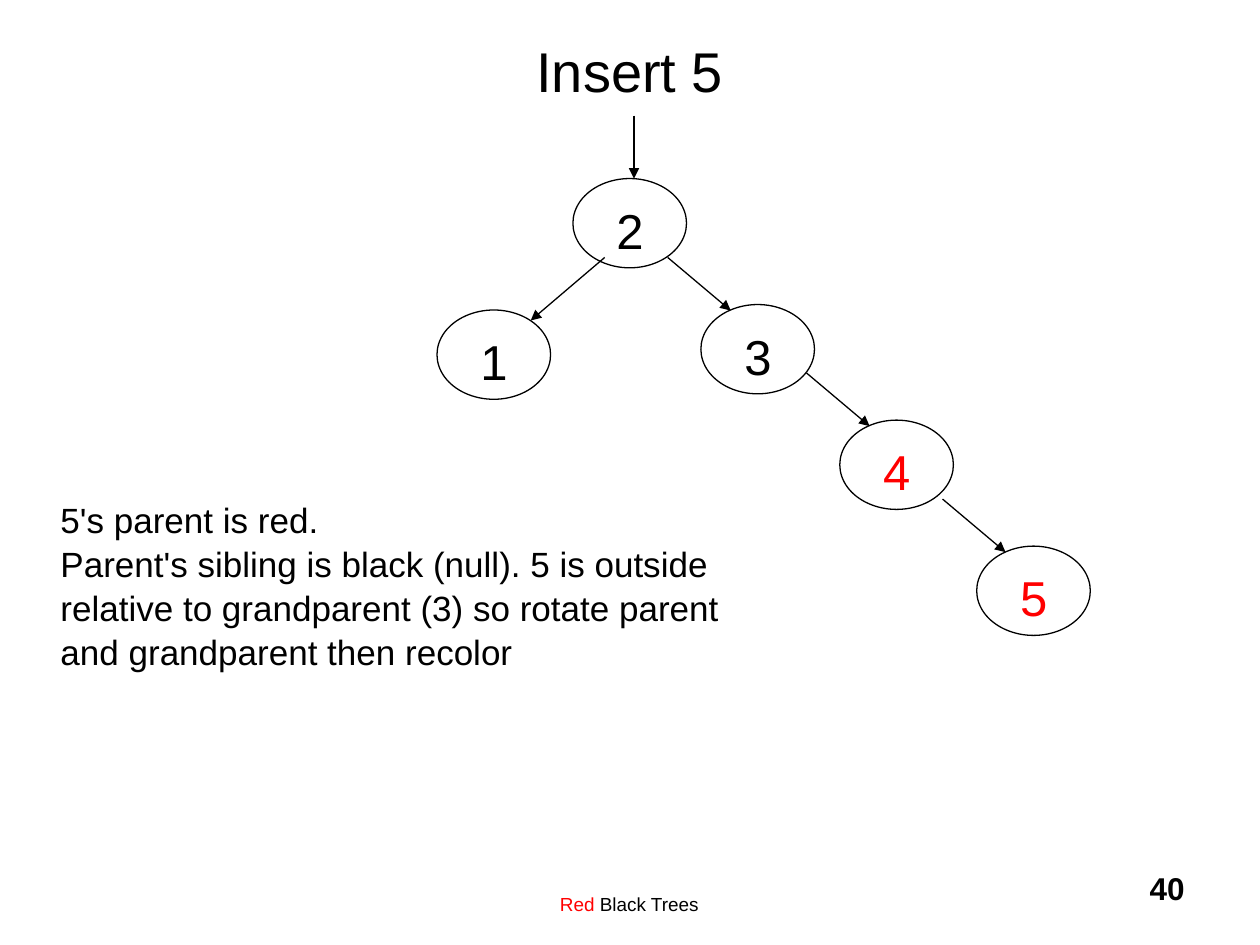
"""Build the slide that shows 5 being inserted in a red black tree."""
import pptx
import pptx.util
import pptx.dml.color
import pptx.enum.shapes
import pptx.enum.text
import pptx.oxml.ns
import lxml.etree

Cm, Pt = pptx.util.Cm, pptx.util.Pt
Align = pptx.enum.text.PP_ALIGN
Anchor = pptx.enum.text.MSO_ANCHOR
HUES = {"black": "000000", "red": "FF0000"}
FONT = "Arial"

TITLE = "Insert 5"
NOTE = [
    "5's parent is red.",
    "Parent's sibling is black (null). 5 is outside relative to "
    "grandparent (3) so rotate parent and grandparent then recolor",
]
FOOTER = [("Red", "red"), (" Black Trees", "black")]
PAGE = "40"
NODES = [
    ("2", "black", 11.55, 3.6),
    ("1", "black", 8.81, 6.25),
    ("3", "black", 14.13, 6.14),
    ("4", "red", 16.93, 8.47),
    ("5", "red", 19.69, 11.01),
]
NODE_W, NODE_H = 2.29, 1.8
LABEL_W, LABEL_H = 1.04, 1.45
RIGHT = (1.27, 1.07)
EDGES = [
    ((12.78, 2.33), (0, 1.27)),
    ((13.46, 5.19), RIGHT),
    ((12.19, 5.19), (-1.49, 1.27)),
    ((16.26, 7.52), RIGHT),
    ((19.0, 10.06), RIGHT),
]


def tint(name):
    return pptx.dml.color.RGBColor.from_string(HUES[name])


def write(shapes, lines, box, size, align=Align.LEFT, anchor=Anchor.TOP,
          bold=False, wrap=True):
    frame = shapes.add_textbox(*map(Cm, box)).text_frame
    frame.word_wrap = wrap
    frame.vertical_anchor = anchor
    para = frame.paragraphs[0]
    para.alignment = align
    para.line_spacing = 1.05
    for place, line in enumerate(lines):
        if place:
            para.add_line_break()
        for text, hue in line:
            run = para.add_run()
            run.text = text
            run.font.name = FONT
            run.font.size = Pt(size)
            run.font.bold = bold
            run.font.color.rgb = tint(hue)


def add_node(shapes, text, hue, left, top):
    group = shapes.add_group_shape().shapes
    oval = group.add_shape(pptx.enum.shapes.MSO_SHAPE.OVAL,
                           Cm(left), Cm(top), Cm(NODE_W), Cm(NODE_H))
    oval.shadow.inherit = False
    oval.fill.background()
    oval.line.color.rgb = tint("black")
    oval.line.width = Pt(0.75)
    box = (left + (NODE_W - LABEL_W) / 2, top + 0.25, LABEL_W, LABEL_H)
    write(group, [[(text, hue)]], box, 28, wrap=False)


def add_edge(shapes, start, step):
    (left, top), (wide, high) = start, step
    edge = shapes.add_connector(
        pptx.enum.shapes.MSO_CONNECTOR.STRAIGHT,
        Cm(left), Cm(top), Cm(left + wide), Cm(top + high))
    edge.line.color.rgb = tint("black")
    edge.line.width = Pt(0.75)
    qn = pptx.oxml.ns.qn
    props = edge.element.spPr
    line = props.find(qn("a:ln"))
    lxml.etree.SubElement(line, qn("a:tailEnd"), type="triangle")
    lxml.etree.SubElement(props, qn("a:effectLst"))


def main():
    deck = pptx.Presentation()
    deck.slide_width, deck.slide_height = Cm(25.4), Cm(19.05)
    shapes = deck.slides.add_slide(deck.slide_layouts[6]).shapes
    write(shapes, [FOOTER], (7.82, 17.84, 9.73, 0.76), 10.8, Align.CENTER)
    write(shapes, [[(PAGE, "black")]], (18.85, 17.35, 5.28, 1.27), 18,
          Align.RIGHT, bold=True)
    write(shapes, [[(TITLE, "black")]], (1.9, -0.2, 21.6, 3.18), 32,
          Align.CENTER, Anchor.MIDDLE)
    for node in NODES:
        add_node(shapes, *node)
    for edge in EDGES:
        add_edge(shapes, *edge)
    write(shapes, [[(line, "black")] for line in NOTE],
          (0.97, 9.88, 14.3, 3.66), 20)
    deck.save("out.pptx")


if __name__ == "__main__":
    main()
